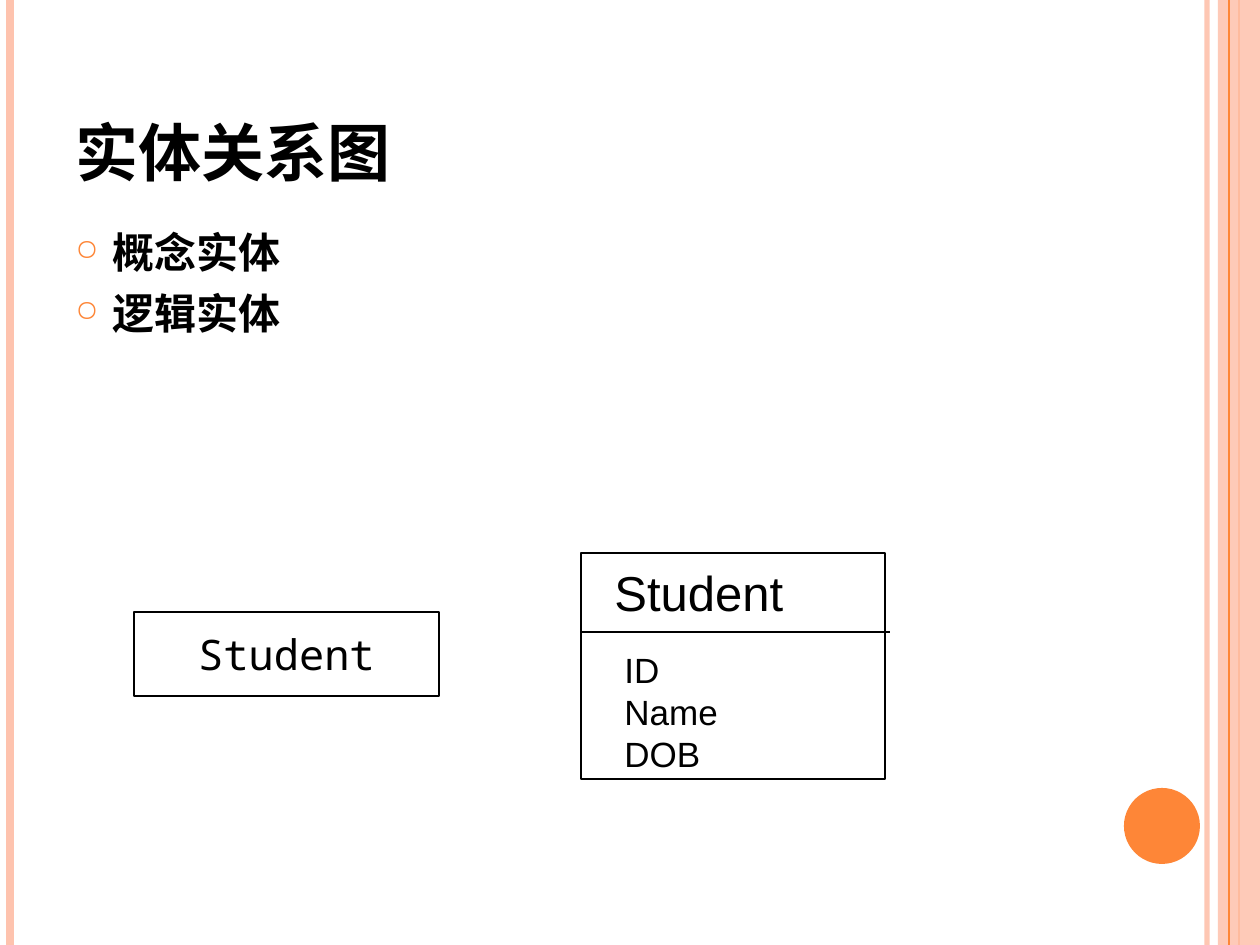
from dataclasses import dataclass

from lxml import etree
from pptx import Presentation
from pptx import util as u
from pptx.dml.color import RGBColor
from pptx.enum import shapes, text
from pptx.oxml import ns

PX = 914400 / 126


@dataclass(frozen=True)
class Theme:
    ink: str = "000000"
    accent: str = "FE8637"
    pale: str = "FEC3AE"
    serif: str = "Times New Roman"
    sans: str = "Arial"
    mono: str = "Noto Sans Mono"
    title: int = 36
    heading: int = 28
    body: int = 24
    field: int = 20


def emu(*lengths):
    return [u.Emu(round(length * PX)) for length in lengths]


def set_alpha(item, percent):
    for color in item._element.spPr.iter(ns.qn("a:srgbClr")):
        etree.SubElement(color, ns.qn("a:alpha"), val=str(percent * 1000))


def add_bullet(para, color, indent):
    props = para._p.get_or_add_pPr()
    props.set("marL", str(indent))
    props.set("indent", str(-indent))
    tint = etree.SubElement(props, ns.qn("a:buClr"))
    etree.SubElement(tint, ns.qn("a:srgbClr"), val=color)
    etree.SubElement(props, ns.qn("a:buSzPct"), val="70000")
    etree.SubElement(props, ns.qn("a:buChar"), char="○")


def write(frame, lines, *, font, size, color, bold=False, before=0, wrap=True,
          grow=False, align=text.PP_ALIGN.LEFT, anchor=text.MSO_ANCHOR.TOP):
    frame.word_wrap = wrap
    frame.vertical_anchor = anchor
    if grow:
        frame.auto_size = text.MSO_AUTO_SIZE.SHAPE_TO_FIT_TEXT
    for number, line in enumerate(lines):
        para = frame.add_paragraph() if number else frame.paragraphs[0]
        para.alignment = align
        para.space_before = u.Pt(before)
        span = para.add_run()
        span.text = line
        span.font.name = font
        span.font.size = u.Pt(size)
        span.font.bold = bold
        span.font.color.rgb = RGBColor.from_string(color)
    return frame.paragraphs


class Painter:
    def __init__(self, page, theme):
        self.page = page
        self.theme = theme

    def line(self, x1, y1, x2, y2, color, width, alpha=100):
        line = self.page.shapes.add_connector(
            shapes.MSO_CONNECTOR.STRAIGHT, *emu(x1, y1, x2, y2))
        line.line.color.rgb = RGBColor.from_string(color)
        line.line.width = u.Pt(width)
        etree.SubElement(line._element.spPr, ns.qn("a:effectLst"))
        if alpha < 100:
            set_alpha(line, alpha)

    def shape(self, kind, place, fill=None, outline=None, alpha=100):
        box = self.page.shapes.add_shape(kind, *emu(*place))
        box.shadow.inherit = False
        if fill:
            box.fill.solid()
            box.fill.fore_color.rgb = RGBColor.from_string(fill)
        else:
            box.fill.background()
        if outline:
            box.line.color.rgb = RGBColor.from_string(outline)
            box.line.width = u.Pt(0.75)
        else:
            box.line.fill.background()
        if alpha < 100:
            set_alpha(box, alpha)
        return box

    def label(self, place, lines, **style):
        box = self.page.shapes.add_textbox(*emu(*place))
        return write(box.text_frame, lines, color=self.theme.ink, **style)

    def bullets(self, place, lines, **style):
        for para in self.label(place, lines, before=6, **style):
            add_bullet(para, self.theme.accent, emu(37)[0])


def draw_frame(painter, theme):
    rules = [(1207, theme.pale, 3, 93), (10, theme.pale, 4.5, 100),
             (1239, theme.accent, 1.5, 100)]
    for x, color, width, alpha in rules:
        painter.line(x, 0, x, 945, color, width, alpha)
    painter.shape(shapes.MSO_SHAPE.RECTANGLE, (1218, 0, 42, 945),
                  fill=theme.pale, alpha=87)
    painter.line(1229, 0, 1229, 945, theme.accent, 0.75)
    painter.shape(shapes.MSO_SHAPE.OVAL, (1124, 788, 76, 76), fill=theme.accent)


def draw_entities(painter, theme):
    concept = painter.shape(shapes.MSO_SHAPE.RECTANGLE, (134, 612, 305, 84),
                            outline=theme.ink)
    write(concept.text_frame, ["Student"], font=theme.mono, size=theme.body,
          color=theme.ink, wrap=False, align=text.PP_ALIGN.CENTER,
          anchor=text.MSO_ANCHOR.MIDDLE)
    painter.shape(shapes.MSO_SHAPE.RECTANGLE, (581, 553, 304, 226),
                  outline=theme.ink)
    painter.line(890, 632, 582, 632, theme.ink, 0.75)
    painter.label((602, 556, 196, 72), ["Student"], font=theme.sans,
                  size=theme.heading, wrap=False, grow=True)
    painter.label((612, 642, 122, 138), ["ID", "Name", "DOB"], font=theme.sans,
                  size=theme.field, wrap=False, grow=True)


def main():
    theme = Theme()
    deck = Presentation()
    deck.slide_width, deck.slide_height = emu(1260, 945)
    page = deck.slides.add_slide(deck.slide_layouts[6])
    painter = Painter(page, theme)
    draw_frame(painter, theme)
    painter.label((63, 38, 1029, 157), ["实体关系图"], font=theme.serif,
                  size=theme.title, bold=True, anchor=text.MSO_ANCHOR.BOTTOM)
    painter.bullets((63, 220, 1029, 672), ["概念实体", "逻辑实体"],
                    font=theme.serif, size=theme.body, bold=True)
    draw_entities(painter, theme)
    deck.save("out.pptx")


if __name__ == "__main__":
    main()
